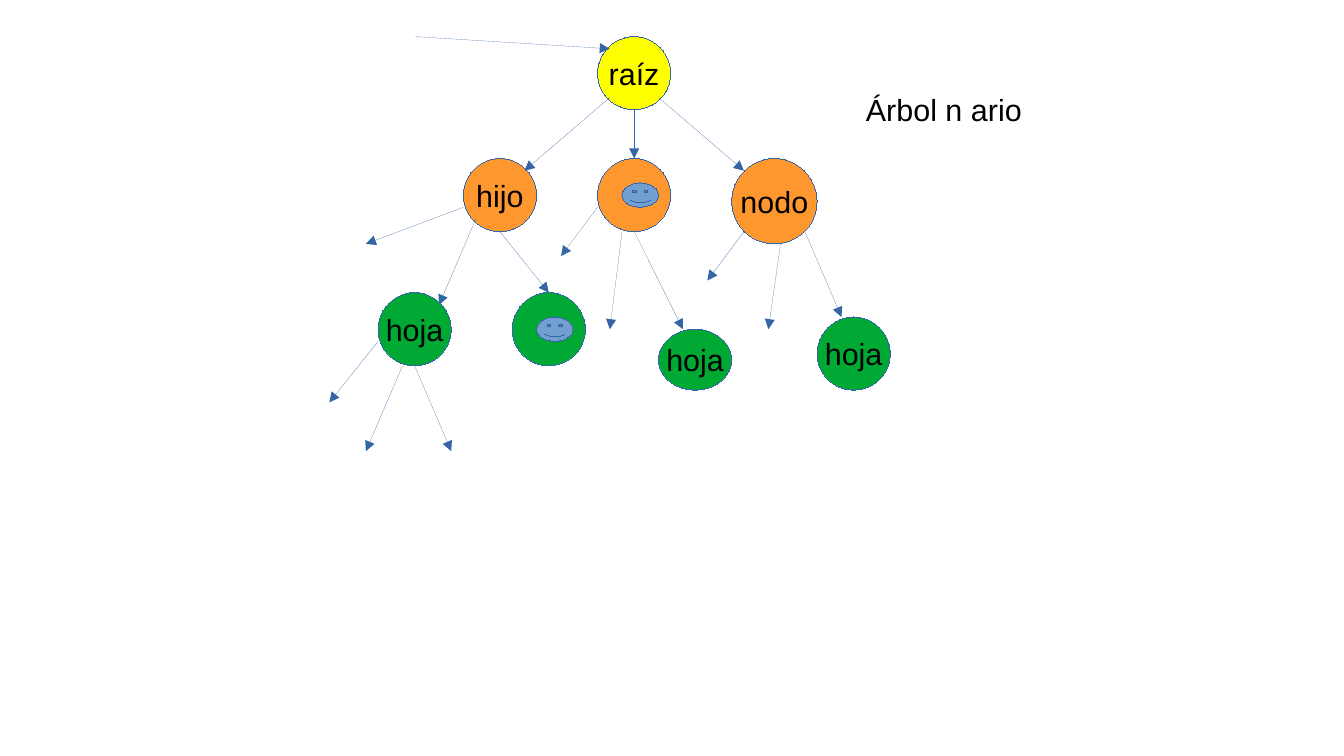
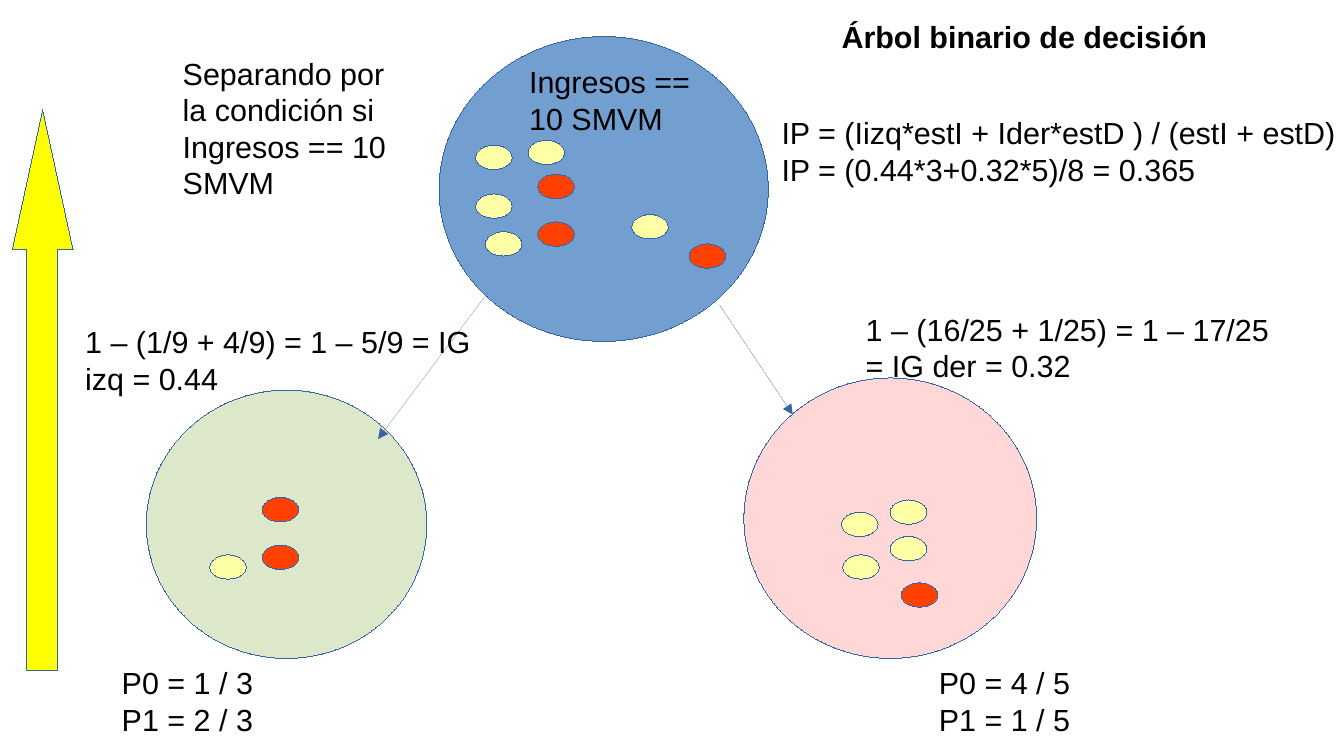
from lxml import etree
from pptx import Presentation
from pptx.dml.color import RGBColor
from pptx.enum.shapes import MSO_CONNECTOR, MSO_SHAPE
from pptx.enum.text import MSO_ANCHOR, MSO_AUTO_SIZE, PP_ALIGN
from pptx.oxml.ns import qn
from pptx.util import Inches, Pt

OVAL, FACE = MSO_SHAPE.OVAL, MSO_SHAPE.SMILEY_FACE
STRAIGHT = MSO_CONNECTOR.STRAIGHT
TOP, MIDDLE = MSO_ANCHOR.TOP, MSO_ANCHOR.MIDDLE
LEFT, CENTER = PP_ALIGN.LEFT, PP_ALIGN.CENTER
GROW = MSO_AUTO_SIZE.SHAPE_TO_FIT_TEXT

COLORS = {
    "line": "3465A4", "text": "000000", "yellow": "FFFF00",
    "orange": "FF972F", "green": "00A933", "blue": "729FCF",
    "sage": "DDE8CB", "pink": "FFD7D7", "cream": "FFFFA6", "red": "FF4000",
}


def paint(shape, fill=None):
    """Drop the theme style, so the outline is a hairline without shadow."""
    shape.element.remove(shape.element.find(qn("p:style")))
    shape.line.color.rgb = RGBColor.from_string(COLORS["line"])
    if fill:
        shape.fill.solid()
        shape.fill.fore_color.rgb = RGBColor.from_string(COLORS[fill])


def write(shape, text, align=LEFT, anchor=TOP, wrap=True, bold=False):
    frame = shape.text_frame
    frame.text = text
    frame.word_wrap = wrap
    frame.vertical_anchor = anchor
    if wrap:
        frame.auto_size = GROW
    for para in frame.paragraphs:
        para.alignment = align
        para.font.name = "Arial"
        para.font.size = Pt(18)
        para.font.bold = bold
        para.font.color.rgb = RGBColor.from_string(COLORS["text"])


# Tree of nodes: left, top, width, height, fill, label
nodes = [
    (4.9, 0.3, 0.6, 0.6, "yellow", "raíz"),
    (3.8, 1.3, 0.6, 0.6, "orange", "hijo"),
    (4.9, 1.3, 0.6, 0.6, "orange", ""),
    (6, 1.3, 0.7, 0.7, "orange", "nodo"),
    (3.1, 2.4, 0.6, 0.6, "green", "hoja"),
    (4.2, 2.4, 0.6, 0.6, "green", ""),
    (5.4, 2.7, 0.6, 0.5, "green", "hoja"),
    (6.7, 2.6, 0.6, 0.6, "green", "hoja"),
]
edges = [
    (3.4, 0.3, 5, 0.4),
    (5, 0.8, 4.3, 1.4), (5.2, 0.9, 5.2, 1.3), (5.4, 0.8, 6.1, 1.4),
    (3.8, 1.7, 3, 2), (3.9, 1.8, 3.6, 2.5), (4.1, 1.9, 4.5, 2.4),
    (4.9, 1.7, 4.6, 2.1), (5.1, 1.9, 5, 2.7), (5.2, 1.9, 5.6, 2.7),
    (6.1, 1.9, 5.8, 2.3), (6.4, 2, 6.3, 2.7), (6.6, 1.9, 6.9, 2.6),
    (3.1, 2.8, 2.7, 3.3), (3.3, 3, 3, 3.7), (3.4, 3, 3.7, 3.7),
]
faces = [(5.1, 1.5), (4.4, 2.6)]

# Decision tree: groups, their arrows, and the cases inside
groups = [
    (1.2, 3.2, 2.3, 2.2, "sage", ""),
    (6.1, 3.1, 2.4, 2.3, "pink", ""),
    (3.6, 0.3, 2.7, 2.5, "blue", ""),
]
splits = [(4, 2.4, 3.1, 3.6), (5.9, 2.5, 6.5, 3.4)]
cases = {
    "cream": [
        (3.9, 1.19), (3.9, 1.59), (4.33, 1.15), (3.98, 1.9), (5.18, 1.76),
        (1.72, 4.55),
        (6.91, 4.55), (6.9, 4.2), (7.3, 4.4), (7.3, 4.1),
    ],
    "red": [
        (4.41, 1.43), (4.41, 1.82), (5.65, 2),
        (2.15, 4.08), (2.15, 4.47),
        (7.39, 4.78),
    ],
}
notes = [
    (1.4, 0.4, 2, 1.3, "Separando por la condición si\nIngresos == 10 SMVM"),
    (4.24, 0.47, 2.3, 0.7, "Ingresos ==\v10 SMVM"),
    (6.31, 0.89, 4.75, 1, "IP = (Iizq*estI + Ider*estD ) / (estI + estD)\n"
                          "IP = (0.44*3+0.32*5)/8 = 0.365"),
    (0.6, 2.6, 3.6, 0.7, "1 – (1/9 + 4/9) = 1 – 5/9 = IG izq = 0.44"),
    (7, 2.5, 3.6, 0.7, "1 – (16/25 + 1/25) = 1 – 17/25 = IG der = 0.32"),
    (0.9, 5.4, 1.6, 0.7, "P0 = 1 / 3\nP1 = 2 / 3"),
    (7.6, 5.4, 1.6, 0.7, "P0 = 4 / 5\nP1 = 1 / 5"),
]

pages = [
    ("Árbol n ario", (7, 0.7, 2.3, 0.4), False, nodes, edges),
    ("Árbol binario de decisión", (6.8, 0.1, 3.8, 0.4), True, groups, splits),
]

deck = Presentation()
deck.slide_width, deck.slide_height = Inches(11.02), Inches(6.2)

# Shared build: title, circles, arrows
for name, place, bold, circles, arrows in pages:
    slide = deck.slides.add_slide(deck.slide_layouts[5])
    title = slide.shapes.title
    title.left, title.top, title.width, title.height = map(Inches, place)
    write(title, name, bold=bold)
    for *box, fill, label in circles:
        circle = slide.shapes.add_shape(OVAL, *map(Inches, box))
        paint(circle, fill)
        if label:
            write(circle, label, CENTER, MIDDLE, wrap=False)
    for ends in arrows:
        arrow = slide.shapes.add_connector(STRAIGHT, *map(Inches, ends))
        paint(arrow)
        line = arrow.element.spPr.find(qn("a:ln"))
        etree.SubElement(line, qn("a:tailEnd"), type="triangle")

# Faces on the tree of nodes
first, second = deck.slides
for x, y in faces:
    face = first.shapes.add_shape(
        FACE, Inches(x), Inches(y), Inches(0.3), Inches(0.2))
    face.adjustments[0] = 0.093
    paint(face, "blue")

# Cases and notes on the decision tree
for fill, spots in cases.items():
    for x, y in spots:
        case = second.shapes.add_shape(
            OVAL, Inches(x), Inches(y), Inches(0.3), Inches(0.2))
        paint(case, fill)
for *box, text in notes:
    note = second.shapes.add_textbox(*map(Inches, box))
    write(note, text)

# Upward arrow at the left edge, in hundredths of an inch
path = second.shapes.build_freeform(22, 550, scale=Inches(0.01))
path.add_line_segments([
    (22, 205), (10, 205), (35, 90), (60, 205), (47, 205), (47, 550),
])
paint(path.convert_to_shape(), "yellow")

deck.save("out.pptx")
